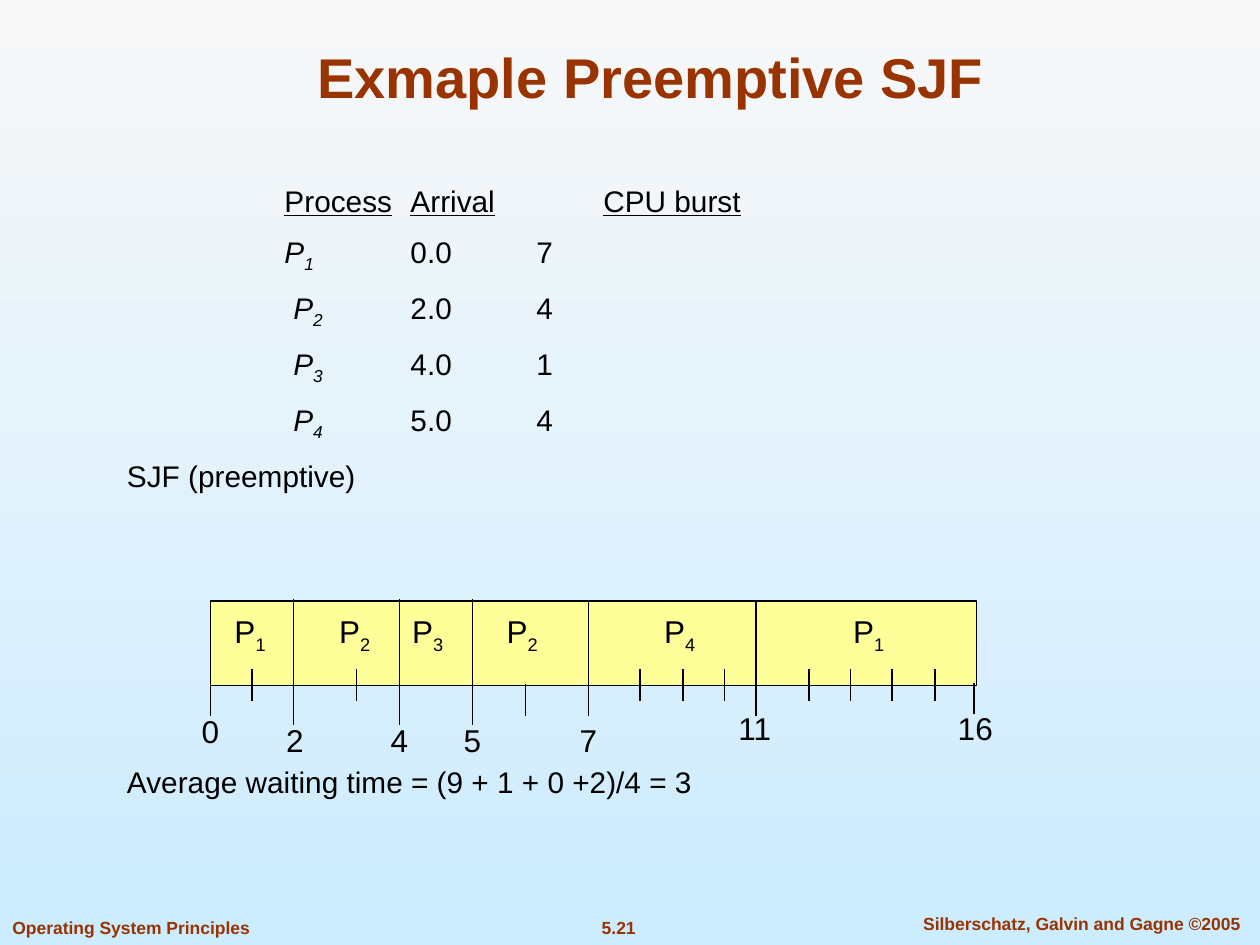
from lxml.etree import SubElement
from pptx import Presentation
from pptx.dml.color import RGBColor
from pptx.enum.shapes import MSO_CONNECTOR, MSO_SHAPE
from pptx.enum.text import MSO_ANCHOR, PP_ALIGN
from pptx.oxml.ns import qn
from pptx.util import Inches, Pt

COLORS = {"heading": "993300", "text": "000000", "bar": "FFFF99",
          "sky_top": "F8F8F8", "sky_bottom": "CCECFF"}
HEADING = {"name": "Arial", "size": Pt(32), "bold": True}
FOOTER = {"name": "Arial", "size": Pt(10), "bold": True}
BODY = {"name": "Arial", "size": Pt(17)}
LABEL = {"name": "Arial", "size": Pt(18)}

PROCESSES = [("1", "0.0", "7"), ("2", "2.0", "4"), ("3", "4.0", "1"), ("4", "5.0", "4")]
BAR_LEFT, BAR_TOP, BAR_WIDTH, BAR_HEIGHT = 1.67, 4.77, 6.08, 0.67
BAR_BOTTOM = 5.43
JOBS = [("1", 1.76), ("2", 2.59), ("3", 3.17), ("2", 3.92), ("4", 5.17), ("1", 6.67)]
TIMES = [("0", 1.5, 5.6, 0.34), ("2", 2.17, 5.67, 0.34), ("4", 3, 5.67, 0.34),
         ("5", 3.58, 5.67, 0.34), ("7", 4.5, 5.67, 0.34),
         ("11", 5.75, 5.58, 0.48), ("16", 7.5, 5.58, 0.48)]
TICKS = [
    (4.75, 5.75, [2.33, 3.17, 3.75]),
    (BAR_TOP, BAR_BOTTOM, [4.67, 6]),
    (BAR_BOTTOM, 5.68, [BAR_LEFT, 4.17, 4.67, 6]),
    (5.42, 5.67, [7.73]),
    (5.31, 5.56, [2, 2.83, 5.08, 5.42, 5.75, 6.42, 6.75, 7.08, 7.42]),
]


def color(name):
    """Return the named colour."""
    return RGBColor.from_string(COLORS[name])


def add_span(para, text, style, shade="text", subscript=False, **extra):
    """Add a formatted run to a paragraph."""
    span = para.add_run()
    span.text = text
    for key, value in {**style, **extra}.items():
        setattr(span.font, key, value)
    span.font.color.rgb = color(shade)
    if subscript:
        span._r.get_or_add_rPr().set("baseline", "-25000")


def add_box(page, left, top, width, height, wrap=False, anchor=MSO_ANCHOR.TOP):
    """Add a text box and return its first paragraph."""
    frame = page.shapes.add_textbox(
        Inches(left), Inches(top), Inches(width), Inches(height)).text_frame
    frame.word_wrap = wrap
    frame.vertical_anchor = anchor
    return frame.paragraphs[0]


def add_label(page, text, left, top, width, height, subscript=""):
    """Add a centred chart label with an optional subscript."""
    para = add_box(page, left, top, width, height, anchor=MSO_ANCHOR.MIDDLE)
    para.alignment = PP_ALIGN.CENTER
    add_span(para, text, LABEL)
    if subscript:
        add_span(para, subscript, LABEL, subscript=True)


def add_footer(page, text, left, top, width, alignment, wrap=False):
    """Add one footer text."""
    para = add_box(page, left, top, width, 0.27, wrap)
    para.alignment = alignment
    add_span(para, text, FOOTER, "heading")


def add_tick(page, x, top, bottom):
    """Add a vertical line."""
    line = page.shapes.add_connector(
        MSO_CONNECTOR.STRAIGHT, Inches(x), Inches(top), Inches(x), Inches(bottom))
    line.line.color.rgb = color("text")
    line.line.width = Pt(0.75)
    SubElement(line._element.spPr, qn("a:effectLst"))


def set_tabs(para, stops):
    """Give a paragraph left tab stops in inches."""
    tabs = SubElement(para._p.get_or_add_pPr(), qn("a:tabLst"))
    for stop in stops:
        SubElement(tabs, qn("a:tab"), pos=str(Inches(stop)), algn="l")


def add_body(page):
    """Add the process list and the result."""
    header = add_box(page, 0.91, 1.4, 8.04, 4.9, wrap=True)
    frame = header._parent
    set_tabs(header, [1.25, 2.25, 3.78])
    for title in ("Process", "Arrival", "CPU burst"):
        add_span(header, "\t", BODY)
        add_span(header, title, BODY, underline=True)
    for number, arrival, burst in PROCESSES:
        para = frame.add_paragraph()
        set_tabs(para, [1.25 if number == "1" else 1.32, 2.25, 3.25])
        para.space_before = Pt(8.8)
        add_span(para, "\tP", BODY, italic=True)
        add_span(para, number, BODY, subscript=True, italic=True)
        add_span(para, f"\t{arrival}\t{burst}", BODY)
    for text, gap in (("SJF (preemptive)", 8.8),
                      ("Average waiting time = (9 + 1 + 0 +2)/4 = 3", 154.4)):
        para = frame.add_paragraph()
        para.space_before = Pt(gap)
        add_span(para, text, BODY)


def add_gantt(page):
    """Add the schedule bar with its jobs, ticks and times."""
    bar = page.shapes.add_shape(
        MSO_SHAPE.RECTANGLE, Inches(BAR_LEFT), Inches(BAR_TOP),
        Inches(BAR_WIDTH), Inches(BAR_HEIGHT))
    bar.shadow.inherit = False
    bar.fill.solid()
    bar.fill.fore_color.rgb = color("bar")
    bar.line.color.rgb = color("text")
    bar.line.width = Pt(0.75)
    for number, left in JOBS:
        add_label(page, "P", left, 4.81, 0.45, 0.44, number)
    for top, bottom, positions in TICKS:
        for x in positions:
            add_tick(page, x, top, bottom)
    for time, left, top, width in TIMES:
        add_label(page, time, left, top, width, 0.4)


def add_title(page, text):
    """Place and fill the title placeholder."""
    title = page.shapes.title
    bounds = {"left": 0.75, "top": 0.25, "width": 8.83, "height": 0.67}
    for key, value in bounds.items():
        setattr(title, key, Inches(value))
    title.text_frame.vertical_anchor = MSO_ANCHOR.BOTTOM
    para = title.text_frame.paragraphs[0]
    para.alignment = PP_ALIGN.CENTER
    add_span(para, text, HEADING, "heading")


def set_background(page):
    """Fill the page with a vertical gradient."""
    fill = page.background.fill
    fill.gradient()
    fill.gradient_angle = 270
    for stop, name in zip(fill.gradient_stops, ("sky_top", "sky_bottom")):
        stop.color.rgb = color(name)


def main():
    """Build and save the deck."""
    deck = Presentation()
    deck.slide_width, deck.slide_height = Inches(10), Inches(7.5)
    page = deck.slides.add_slide(deck.slide_layouts[5])
    set_background(page)
    add_footer(page, "5.21", 4.42, 7.23, 0.98, PP_ALIGN.CENTER)
    add_footer(page, "Silberschatz, Galvin and Gagne ©2005", 7.1, 7.2, 2.97,
               PP_ALIGN.CENTER, wrap=True)
    add_footer(page, "Operating System Principles", 0, 7.23, 2.15, PP_ALIGN.LEFT)
    add_title(page, "Exmaple Preemptive SJF")
    add_body(page)
    add_gantt(page)
    deck.save("out.pptx")


if __name__ == "__main__":
    main()
